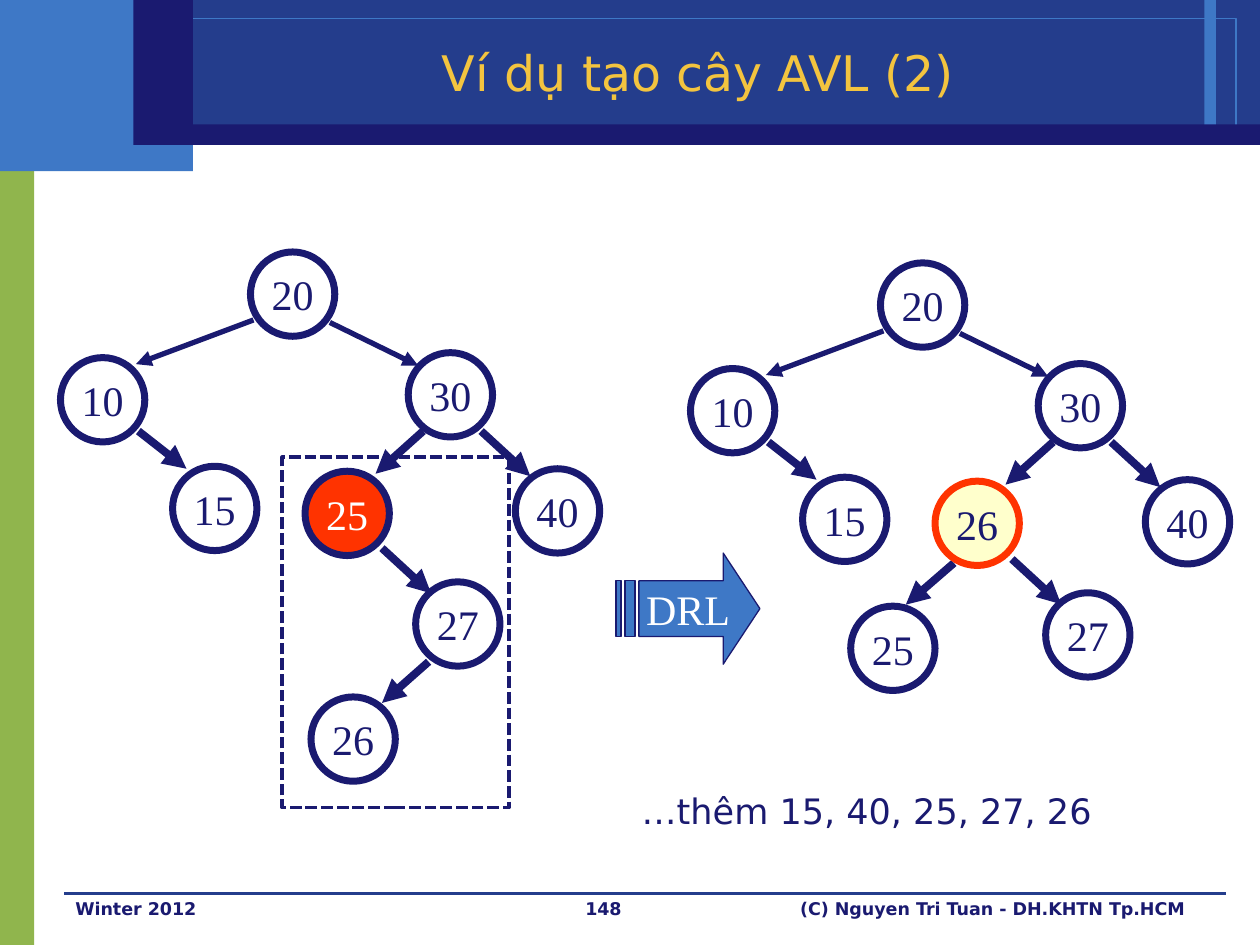
import pptx
import pptx.util
import pptx.dml.color
import pptx.enum.dml
import pptx.enum.shapes
import pptx.enum.text
import pptx.oxml.ns
import lxml.etree

Cm = pptx.util.Cm
Pt = pptx.util.Pt
SHAPE = pptx.enum.shapes.MSO_SHAPE
ALIGN = pptx.enum.text.PP_ALIGN
MIDDLE = pptx.enum.text.MSO_ANCHOR.MIDDLE

COLORS = {
    "navy": "1A1A70", "band": "243D8C", "blue": "3E78C6", "green": "90B54D",
    "gold": "F3C43F", "red": "FF3300", "cream": "FFFFCC", "white": "FFFFFF",
}
SANS = "DejaVu Sans"
SERIF = "Times New Roman"
NODE_SIZE = 1.7
RIGHT_TREE = (12.7, 0.22)

COMMON_NODES = [
    ("10", 1.22, 7.21), ("20", 5.05, 5.08), ("30", 8.23, 7.11),
    ("15", 3.48, 9.4), ("40", 10.39, 9.45), ("27", 8.38, 11.73),
]
COMMON_EDGES = [
    (5.11, 6.45, 2.74, 7.34, 3), (6.65, 6.5, 8.43, 7.37, 3),
    (2.79, 8.69, 3.76, 9.45, 4.5), (9.7, 8.69, 10.69, 9.6, 4.5),
    (8.53, 8.69, 7.57, 9.55, 4.5), (7.7, 11.05, 8.69, 11.96, 4.5),
]


def rgb(name):
    return pptx.dml.color.RGBColor.from_string(COLORS[name])


def box(left, top, width, height):
    return Cm(left), Cm(top), Cm(width), Cm(height)


def write_text(shape, text, size, color, font, align=ALIGN.CENTER, bold=False, wrap=False):
    shape.text_frame.word_wrap = wrap
    paragraph = shape.text_frame.paragraphs[0]
    paragraph.alignment = align
    run = paragraph.add_run()
    run.text = text
    run.font.size = Pt(size)
    run.font.name = font
    run.font.bold = bold
    run.font.color.rgb = rgb(color)


def style_shape(shape, fill=None, line=None, width=0):
    shape.shadow.inherit = False
    if fill:
        shape.fill.solid()
        shape.fill.fore_color.rgb = rgb(fill)
    else:
        shape.fill.background()
    if line:
        shape.line.color.rgb = rgb(line)
        shape.line.width = Pt(width)
    else:
        shape.line.fill.background()


def add_rectangle(slide, place, fill=None, line=None, width=0):
    shape = slide.shapes.add_shape(SHAPE.RECTANGLE, *box(*place))
    style_shape(shape, fill, line, width)
    return shape


def add_text(slide, place, text, size, align=ALIGN.CENTER, bold=False, wrap=True):
    shape = slide.shapes.add_textbox(*box(*place))
    write_text(shape, text, size, "navy", SANS, align, bold, wrap)


def add_line(slide, start_x, start_y, end_x, end_y, color, width, arrow=False):
    connector = slide.shapes.add_connector(
        pptx.enum.shapes.MSO_CONNECTOR.STRAIGHT, *box(start_x, start_y, end_x, end_y))
    connector.line.color.rgb = rgb(color)
    connector.line.width = Pt(width)
    if arrow:
        tail = lxml.etree.SubElement(
            connector.line._get_or_add_ln(), pptx.oxml.ns.qn("a:tailEnd"))
        tail.set("type", "triangle")
    lxml.etree.SubElement(connector._element.spPr, pptx.oxml.ns.qn("a:effectLst"))


def add_node(slide, text, left, top, fill=None, line="navy", color="navy"):
    shape = slide.shapes.add_shape(SHAPE.OVAL, *box(left, top, NODE_SIZE, NODE_SIZE))
    style_shape(shape, fill, line, 4)
    shape.text_frame.vertical_anchor = MIDDLE
    write_text(shape, text, 24, color, SERIF)


def add_tree(slide, nodes, edges, shift=(0, 0)):
    shift_x, shift_y = shift
    for start_x, start_y, end_x, end_y, width in COMMON_EDGES + edges:
        add_line(slide, start_x + shift_x, start_y + shift_y,
                 end_x + shift_x, end_y + shift_y, "navy", width, arrow=True)
    for text, left, top, *colors in COMMON_NODES + nodes:
        add_node(slide, text, left + shift_x, top + shift_y, *colors)


def add_rotation_arrow(slide):
    top, bottom = 11.71, 12.83
    head = [(14.58, 11.15), (14.58, top), (12.88, top), (12.88, bottom),
            (14.58, bottom), (14.58, 13.39), (15.32, 12.27)]
    stripes = [[(left, top), (left, bottom), (right, bottom), (right, top)]
               for left, right in ((12.6, 12.8), (12.42, 12.52))]
    builder = slide.shapes.build_freeform(Cm(head[0][0]), Cm(head[0][1]))
    for index, outline in enumerate([head] + stripes):
        points = [(Cm(x), Cm(y)) for x, y in outline]
        if index:
            builder.move_to(*points[0])
        builder.add_line_segments(points[1:], close=True)
    shape = builder.convert_to_shape()
    style_shape(shape, "blue", "navy", 0.75)
    shape.text_frame.vertical_anchor = MIDDLE
    write_text(shape, "DRL", 24, "white", SERIF)


def add_background(slide):
    add_rectangle(slide, (0, 2.72, 0.69, 16.33), "green")
    add_rectangle(slide, (0, 0, 3.89, 3.45), "blue")
    add_rectangle(slide, (3.89, 0, 21.51, 2.92), "band")
    add_rectangle(slide, (24.28, 0, 0.23, 2.54), "blue")
    add_rectangle(slide, (0.51, 0.38, 24.41, 2.16), line="blue")
    add_line(slide, 1.3, 18.01, 24.71, 18.01, "band", 0)
    add_rectangle(slide, (3.3, 2.51, 22.1, 0.41), "navy")
    add_rectangle(slide, (2.69, 0, 1.2, 2.92), "navy")


def add_footer(slide):
    for left, width, text, align in (
        (10.16, 4.01, "148", ALIGN.CENTER),
        (1.27, 5.92, "Winter 2012", ALIGN.LEFT),
        (15.04, 9.09, "(C) Nguyen Tri Tuan - DH.KHTN Tp.HCM", ALIGN.RIGHT),
    ):
        add_text(slide, (left, 17.98, width, 1.07), text, 10, align, bold=True)


def set_title(slide, text):
    title = slide.shapes.title
    title.left, title.top, title.width, title.height = box(3.81, 0.66, 20.52, 1.57)
    title.text_frame.vertical_anchor = MIDDLE
    write_text(title, text, 28, "gold", SANS, wrap=True)
    slide.shapes._spTree.append(title._element)


def main():
    presentation = pptx.Presentation()
    presentation.slide_width, presentation.slide_height = Cm(25.4), Cm(19.05)
    slide = presentation.slides.add_slide(presentation.slide_layouts[5])
    add_background(slide)
    add_footer(slide)
    set_title(slide, "Ví dụ tạo cây AVL (2)")
    add_tree(slide,
             [("25", 6.15, 9.5, "red", "navy", "white"), ("26", 6.27, 14.05)],
             [(8.64, 13.34, 7.7, 14.17, 4.5)])
    frame = add_rectangle(slide, (5.69, 9.22, 4.57, 7.06), line="navy", width=2.25)
    frame.line.dash_style = pptx.enum.dml.MSO_LINE.SQUARE_DOT
    add_rotation_arrow(slide)
    add_tree(slide,
             [("26", 6.15, 9.48, "cream", "red"), ("25", 4.45, 12)],
             [(6.53, 11.13, 5.56, 11.97, 4.5)], RIGHT_TREE)
    add_text(slide, (12.6, 15.8, 9.75, 1.12), "…thêm 15, 40, 25, 27, 26", 20, wrap=False)
    presentation.save("out.pptx")


if __name__ == "__main__":
    main()
